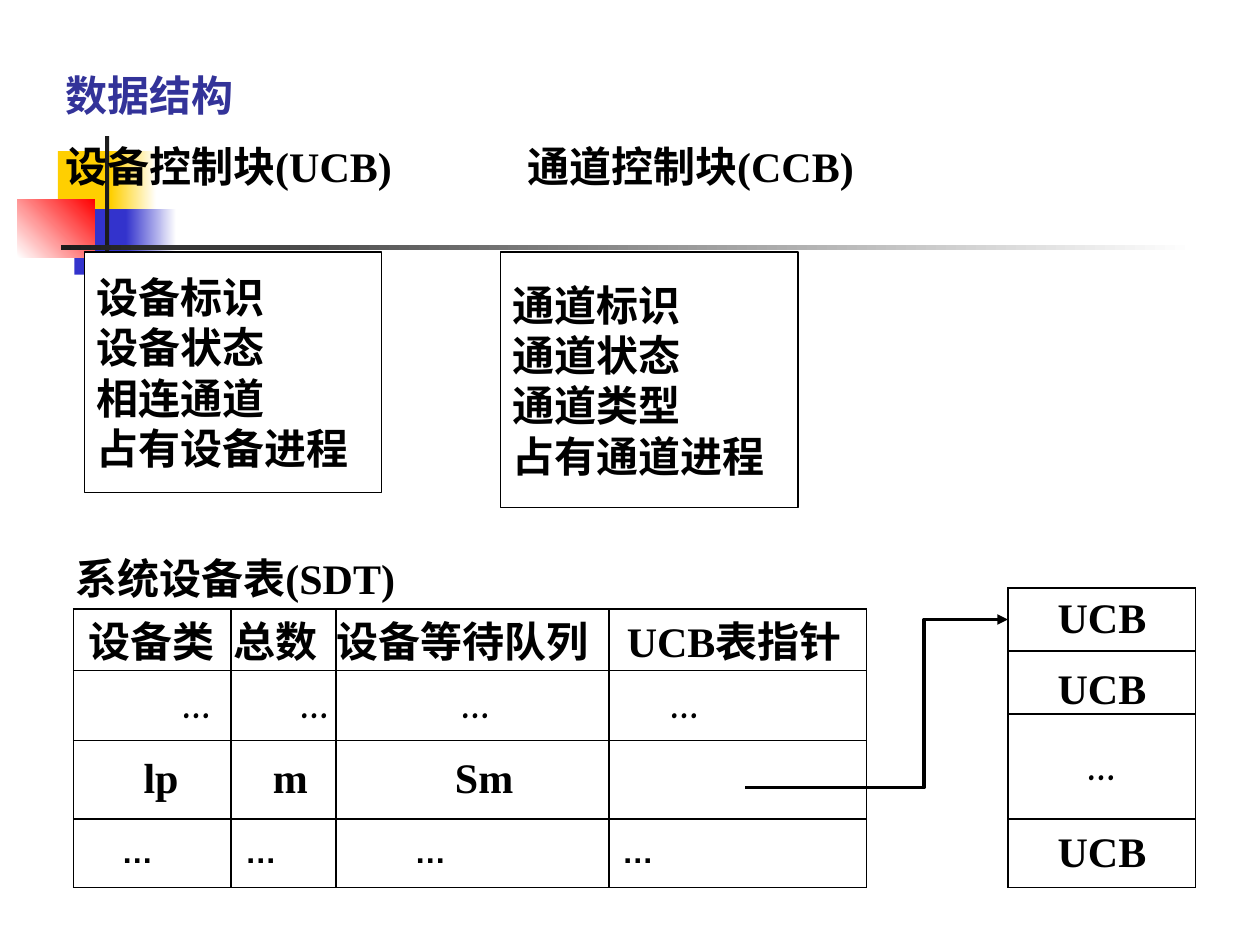
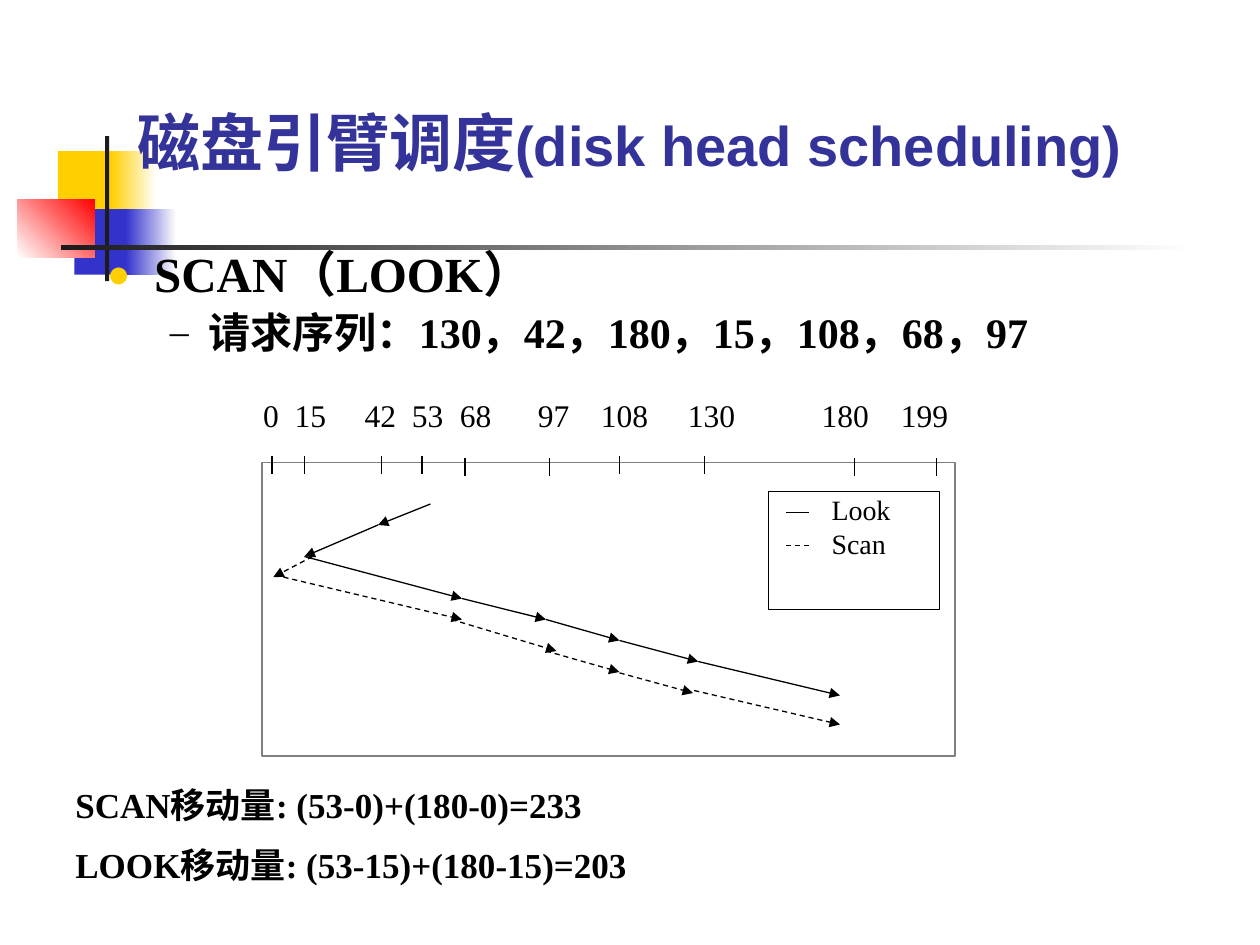
"""Build two slides on device data structures and disk head scheduling."""
from itertools import pairwise

from lxml import etree
from pptx import Presentation
from pptx import util as u
from pptx.dml import color as c
from pptx.enum import dml, shapes, text
from pptx.oxml import ns

Pt = u.Pt
COLORS = {"black": "000000", "white": "FFFFFF", "title": "333399", "gold": "FFCF01",
          "blue": "3333CC", "red": "FF0000", "dark": "1C1C1C", "gray": "808080"}
SERIF, SANS, COMIC = "Times New Roman", "Arial", "Comic Neue"
CENTER = text.PP_ALIGN.CENTER
TOP, MIDDLE, BOTTOM = text.MSO_ANCHOR.TOP, text.MSO_ANCHOR.MIDDLE, text.MSO_ANCHOR.BOTTOM
INSETS = (7.2, 3.6, 7.2, 3.6)

BANDS = [
    ((33.1, 86.4, 34.5, 37.4), ("gold",), 0),
    ((63.4, 86.4, 25.9, 37.4), ("gold", "white"), 0),
    ((42.5, 119.5, 33.1, 37.4), ("blue",), 0),
    ((72, 119.5, 28.8, 37.4), ("blue", "white"), 0),
    ((10, 113.8, 44.2, 33.3), ("white", "red"), 45),
    ((60, 77.8, 2.4, 82.8), ("dark",), 0),
    ((34.8, 140.2, 648, 2.4), ("dark", "white"), 0),
]

BLOCK_HEADING = "设备控制块(UCB)\t通道控制块(CCB)"
BLOCKS = [
    ((48.2, 144, 170, 137.4), ["设备标识", "设备状态", "相连通道", "占有设备进程"]),
    ((286, 144, 170, 146.2), ["通道标识", "通道状态", "通道类型", "占有通道进程"]),
]
SDT_COLUMNS = [90, 60, 156, 147.4]
SDT_ROWS = [
    (35, SERIF, 24, [("设备类", 8.5), ("总数", 1.5), ("设备等待队列", 0.2), ("UCB表指针", 10.2)]),
    (40, COMIC, 24, [("…", 62), ("…", 39.5), ("…", 72), ("…", 35)]),
    (45, SERIF, 24, [("lp", 40), ("m", 24), ("Sm", 68), ("", 0)]),
    (39, SANS, 18, [("…", 27.5), ("…", 8), ("…", 45), ("…", 7.5)]),
]
UCB_ROWS = [(36, "UCB", SERIF, MIDDLE), (36, "UCB", SERIF, BOTTOM),
            (60, "…", COMIC, MIDDLE), (39, "UCB", SERIF, MIDDLE)]
POINTER = [(426, 450), (528, 450), (528, 354), (576, 354)]

SCAN_TITLE = [("磁盘引臂调度", 36), ("(disk head scheduling)", 32)]
BULLETS = [
    ("SCAN（LOOK）", dict(size=28, mark="●", mark_color="gold", mark_size=80, indent=(27, -27))),
    ("请求序列：130，42，180，15，108，68，97",
     dict(size=24, mark="–", mark_color="black", mark_size=90, indent=(58.3, -22.3), before=4.8)),
]
MOVES = ["SCAN移动量: (53-0)+(180-0)=233", "LOOK移动量: (53-15)+(180-15)=203"]
TRACKS = [("0", 0, 155.5, 260.6), ("15", 18, 174.2, 260.6), ("42", 58, 218.2, 260.6),
          ("53", 85, 241.2, 260.6), ("68", 112.5, 265.7, 262), ("97", 157, 313.9, 262),
          ("108", 193, 354.2, 260.6), ("130", 242.7, 402.5, 260.6),
          ("180", 319.2, 488.2, 262), ("199", 364.4, 535, 262)]
TICK_LENGTH = 10
LOOK_STOPS = [(246, 288), (216, 300), (174, 318), (264, 342), (312, 354),
              (354, 366), (399, 378), (480, 397.4)]
SCAN_LEGS = [((178.6, 318), (156.2, 329.8)), ((162, 329.8), (264, 354)),
             ((258, 354), (318, 372)), ((312, 372), (354, 384)),
             ((354, 384.5), (396, 396)), ((396.7, 394.6), (480, 414))]
LEGEND = [("Look", 293, False), ("Scan", 311.8, True)]


def rgb(name):
    """Return the named colour."""
    return c.RGBColor.from_string(COLORS[name])


def sub(parent, tag, **attributes):
    """Append a drawing element with attributes."""
    return etree.SubElement(parent, ns.qn(tag), attributes)


def add_text(frame, content, size=24, font=SERIF, color="black", bold=True, align=None, before=0,
             leading=None, mark=None, mark_color=None, mark_size=100, indent=None, tabs=(),
             more=False):
    """Write one paragraph; content is a string or (text, size) spans."""
    para = frame.add_paragraph() if more else frame.paragraphs[0]
    properties = para._p.get_or_add_pPr()
    if indent:
        properties.set("marL", str(Pt(indent[0])))
        properties.set("indent", str(Pt(indent[1])))
    if mark:
        sub(sub(properties, "a:buClr"), "a:srgbClr", val=COLORS[mark_color])
        sub(properties, "a:buSzPct", val=str(mark_size * 1000))
        sub(properties, "a:buFont", typeface=SERIF)
        sub(properties, "a:buChar", char=mark)
    if tabs:
        stops = sub(properties, "a:tabLst")
        for stop in tabs:
            sub(stops, "a:tab", pos=str(Pt(stop)), algn="l")
    para.alignment = align
    if before:
        para.space_before = Pt(before)
    if leading:
        para.line_spacing = leading
    for words, points in [(content, size)] if isinstance(content, str) else content:
        span = para.add_run()
        span.text = words
        span.font.size, span.font.name, span.font.bold = Pt(points), font, bold
        span.font.color.rgb = rgb(color)


def add_lines(frame, lines, before=0, **style):
    """Write paragraphs of one style, spaced after the first."""
    for index, line in enumerate(lines):
        add_text(frame, line, before=before if index else 0, more=index > 0, **style)


def set_frame(frame, anchor=TOP, insets=INSETS):
    """Set wrapping, anchor and insets."""
    frame.word_wrap, frame.vertical_anchor = True, anchor
    (frame.margin_left, frame.margin_top,
     frame.margin_right, frame.margin_bottom) = map(Pt, insets)
    return frame


def text_box(page, place, **layout):
    """Add a text box and return its frame."""
    return set_frame(page.shapes.add_textbox(*map(Pt, place)).text_frame, **layout)


def add_box(page, place, fills=(), angle=0, line=None):
    """Add a rectangle with no, plain or gradient fill."""
    box = page.shapes.add_shape(shapes.MSO_SHAPE.RECTANGLE, *map(Pt, place))
    box.shadow.inherit = False
    if len(fills) == 2:
        box.fill.gradient()
        box.fill.gradient_angle = angle
        for stop, name in zip(box.fill.gradient_stops, fills):
            stop.color.rgb = rgb(name)
    elif fills:
        box.fill.solid()
        box.fill.fore_color.rgb = rgb(fills[0])
    else:
        box.fill.background()
    if line:
        box.line.color.rgb, box.line.width = rgb(line), Pt(0.75)
    else:
        box.line.fill.background()
    return box


def add_arrowhead(shape):
    """Put a triangle at the end of a line."""
    sub(shape.element.spPr.find(ns.qn("a:ln")), "a:tailEnd", type="triangle")


def add_line(page, start, end, dashed=False, arrow=False):
    """Draw a thin black line."""
    line = page.shapes.add_connector(shapes.MSO_CONNECTOR.STRAIGHT, *map(Pt, start + end))
    line.line.color.rgb, line.line.width = rgb("black"), Pt(0.75)
    if dashed:
        line.line.dash_style = dml.MSO_LINE.DASH
    if arrow:
        add_arrowhead(line)
    sub(line.element.spPr, "a:effectLst")


def add_grid(page, left, top, columns, heights):
    """Add a plain white table with black borders."""
    grid = page.shapes.add_table(len(heights), len(columns), Pt(left), Pt(top),
                                 Pt(sum(columns)), Pt(sum(heights))).table
    grid.first_row = grid.horz_banding = False
    for column, width in zip(grid.columns, columns):
        column.width = Pt(width)
    for row, height in zip(grid.rows, heights):
        row.height = Pt(height)
    for cell in grid.iter_cells():
        properties = cell._tc.get_or_add_tcPr()
        for side in "LRTB":
            border = sub(properties, f"a:ln{side}", w=str(Pt(0.75)))
            sub(sub(border, "a:solidFill"), "a:srgbClr", val=COLORS["black"])
        cell.fill.solid()
        cell.fill.fore_color.rgb = rgb("white")
        cell.margin_left = cell.margin_right = cell.margin_top = cell.margin_bottom = 0
        cell.vertical_anchor = MIDDLE
    return grid


def new_page(deck):
    """Add a blank slide with the shared bands."""
    page = deck.slides.add_slide(deck.slide_layouts[6])
    for place, fills, angle in BANDS:
        add_box(page, place, fills, angle)
    return page


def build_structures(deck):
    """Build the data structure slide."""
    page = new_page(deck)
    heading = text_box(page, (30.2, 36, 672, 79))
    add_text(heading, "数据结构", color="title")
    add_text(heading, BLOCK_HEADING, before=12, tabs=[264], more=True)
    for place, fields in BLOCKS:
        box = add_box(page, place, ["white"], line="black")
        add_lines(set_frame(box.text_frame, MIDDLE), fields, align=text.PP_ALIGN.LEFT)
    add_text(text_box(page, (36, 312, 240, 36)), "系统设备表(SDT)")

    devices = add_grid(page, 42, 348, SDT_COLUMNS, [row[0] for row in SDT_ROWS])
    for r, (_, font, size, entries) in enumerate(SDT_ROWS):
        for col, (words, offset) in enumerate(entries):
            cell = devices.cell(r, col)
            cell.margin_left = Pt(offset)
            if words:
                add_text(cell.text_frame, words, font=font, size=size)
    units = add_grid(page, 576, 336, [107.4], [row[0] for row in UCB_ROWS])
    for r, (_, words, font, anchor) in enumerate(UCB_ROWS):
        units.cell(r, 0).vertical_anchor = anchor
        add_text(units.cell(r, 0).text_frame, words, font=font, align=CENTER)

    start, *bends = [(Pt(x), Pt(y)) for x, y in POINTER]
    outline = page.shapes.build_freeform(*start)
    outline.add_line_segments(bends, close=False)
    pointer = outline.convert_to_shape()
    pointer.shadow.inherit = False
    pointer.fill.background()
    pointer.line.color.rgb, pointer.line.width = rgb("black"), Pt(2)
    add_arrowhead(pointer)


def build_scheduling(deck):
    """Build the disk scheduling slide."""
    page = new_page(deck)
    title = text_box(page, (54, 36, 612, 90), anchor=MIDDLE)
    add_text(title, SCAN_TITLE, font=SANS, color="title", align=CENTER)
    body = text_box(page, (54, 139.7, 612, 64))
    for index, (words, style) in enumerate(BULLETS):
        add_text(body, words, leading=0.9, more=index > 0, **style)
    add_lines(text_box(page, (36, 444.2, 654, 67)), MOVES, size=20, before=10)

    add_box(page, (149.8, 264.2, 396, 167.8), line="gray")
    labels = text_box(page, (149, 226, 396, 38), insets=(1.4, 0, 0, 0))
    add_text(labels, "\t".join(track[0] for track in TRACKS), size=18, bold=False,
             tabs=[track[1] for track in TRACKS[1:]])
    for _, _, x, top in TRACKS:
        add_line(page, (x, top), (x, top + TICK_LENGTH))
    for start, end in pairwise(LOOK_STOPS):
        add_line(page, start, end, arrow=True)
    for start, end in SCAN_LEGS:
        add_line(page, start, end, dashed=True, arrow=True)

    legend = add_box(page, (439.2, 280.8, 97.9, 67.7), line="black")
    add_lines(set_frame(legend.text_frame, insets=(36, 0.7, 7.2, 3.6)),
              [entry[0] for entry in LEGEND], size=16, bold=False, align=text.PP_ALIGN.LEFT)
    for _, y, dashed in LEGEND:
        add_line(page, (449.3, y), (462.2, y), dashed)


def main():
    """Build and save the deck."""
    deck = Presentation()
    deck.slide_width, deck.slide_height = Pt(720), Pt(540)
    build_structures(deck)
    build_scheduling(deck)
    deck.save("out.pptx")


if __name__ == "__main__":
    main()
